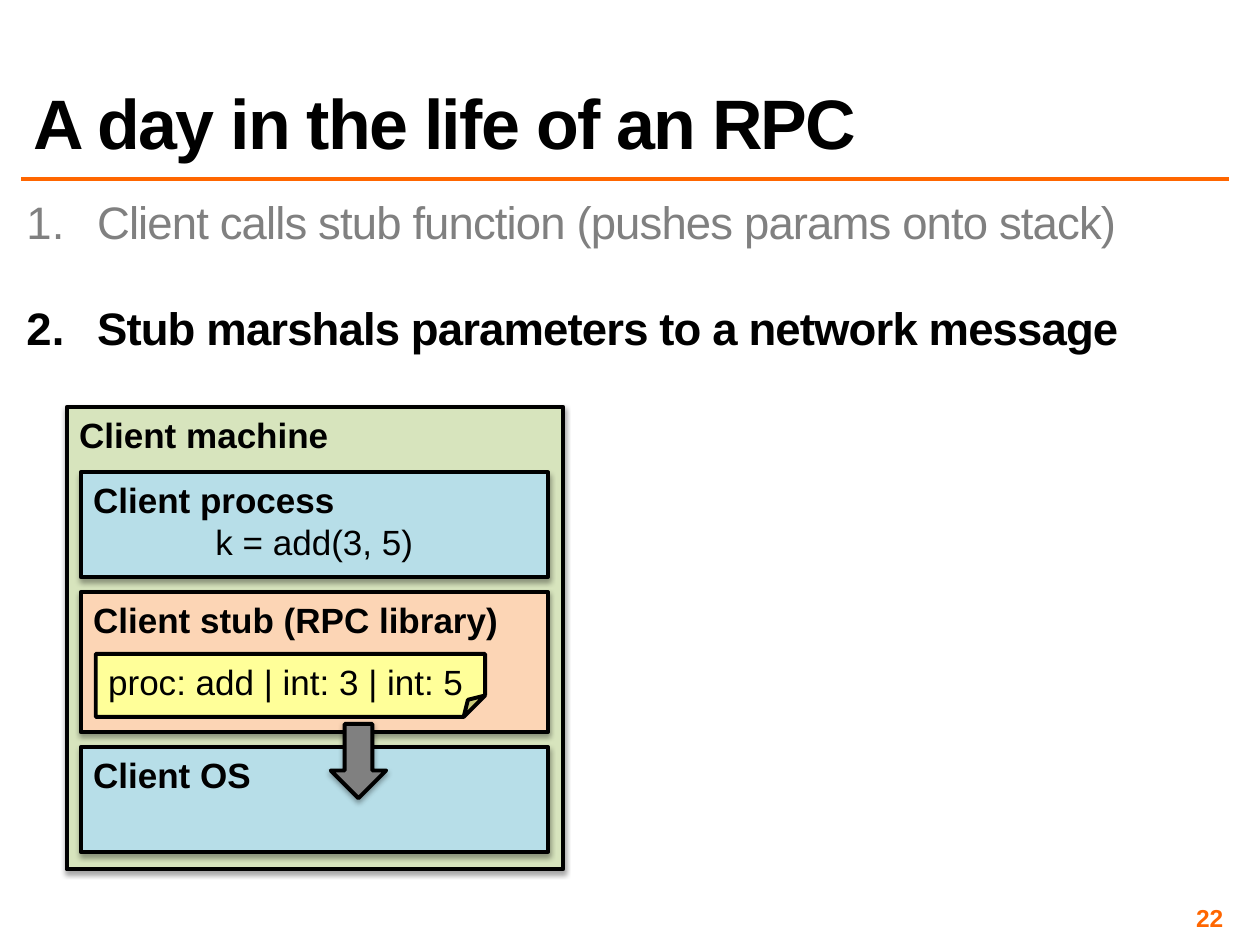
import pptx
import pptx.util
import pptx.dml.color
import pptx.enum.shapes
import pptx.enum.text
import pptx.oxml
import pptx.oxml.ns

Inches = pptx.util.Inches
Pt = pptx.util.Pt
Shape = pptx.enum.shapes.MSO_SHAPE
Align = pptx.enum.text.PP_ALIGN
Anchor = pptx.enum.text.MSO_ANCHOR

HUES = {
    "ink": "000000", "gray": "808080", "orange": "FF6600", "green": "D7E4BD",
    "blue": "B7DEE8", "peach": "FCD5B5", "note": "FFFF99",
}
NS = pptx.oxml.ns.nsdecls("a")
GLOW = (
    f'<a:effectLst {NS}><a:outerShdw blurRad="{Pt(3.1)}" dist="{Pt(1.8)}" '
    'dir="5400000" rotWithShape="0"><a:srgbClr val="000000">'
    '<a:alpha val="35000"/></a:srgbClr></a:outerShdw></a:effectLst>'
)
FLAT = f"<a:effectLst {NS}/>"
NUMBER = f'<a:buAutoNum {NS} type="arabicPeriod"/>'
FOLD = f'<a:avLst {NS}><a:gd name="adj" fmla="val 34000"/></a:avLst>'


def tint(name):
    return pptx.dml.color.RGBColor.from_string(HUES[name])


def assign(target, values):
    for key, value in values.items():
        setattr(target, key, value)


def effect(shape, xml):
    shape._element.spPr.append(pptx.oxml.parse_xml(xml))


def fold(shape):
    outline = shape._element.spPr.find(pptx.oxml.ns.qn("a:prstGeom"))
    for child in list(outline):
        outline.remove(child)
    outline.append(pptx.oxml.parse_xml(FOLD))


def frame(shape, inset=None, anchor=Anchor.TOP):
    body = shape.text_frame
    assign(body, {"word_wrap": True, "vertical_anchor": anchor})
    if inset is not None:
        sides = ("left", "top", "right", "bottom")
        assign(body, {f"margin_{side}": Inches(inset) for side in sides})
    return body


def write(para, text, size, hue="ink", bold=True, track=0, **form):
    assign(para, {"alignment": Align.LEFT, **form})
    run = para.add_run()
    run.text = text
    assign(run.font, {"name": "Arial", "size": Pt(size), "bold": bold})
    run.font.color.rgb = tint(hue)
    if track:
        run._r.get_or_add_rPr().set("spc", str(track))


def textbox(slide, box, **form):
    return frame(slide.shapes.add_textbox(*map(Inches, box)), **form)


def block(slide, kind, box, fill, xml=GLOW):
    shape = slide.shapes.add_shape(kind, *map(Inches, box))
    shape.fill.solid()
    shape.fill.fore_color.rgb = tint(fill)
    shape.line.color.rgb = tint("ink")
    shape.line.width = Pt(2.25)
    effect(shape, xml)
    return shape


def panel(slide, box, fill, title):
    body = frame(block(slide, Shape.RECTANGLE, box, fill))
    write(body.paragraphs[0], title, 20)
    return body


def header(slide, box):
    left, top, width, height = box
    body = textbox(slide, box, anchor=Anchor.BOTTOM)
    write(body.paragraphs[0], "A day in the life of an RPC", 40, track=-100, line_spacing=0.8)
    level = Inches(top + height + 0.08)
    rule = slide.shapes.add_connector(
        pptx.enum.shapes.MSO_CONNECTOR.STRAIGHT,
        Inches(left), level, Inches(left + width), level)
    rule.line.color.rgb = tint("orange")
    rule.line.width = Pt(2)
    effect(rule, FLAT)


def steps(slide, box):
    body = textbox(slide, box, inset=0.04)
    items = [
        ("Client calls stub function (pushes params onto stack)", "gray", False, 5.2),
        ("Stub marshals parameters to a network message", "ink", True, 36),
    ]
    for index, (text, hue, bold, space) in enumerate(items):
        para = body.add_paragraph() if index else body.paragraphs[0]
        write(para, text, 26, hue, bold, -50, line_spacing=0.8, space_before=Pt(space))
        props = para._p.get_or_add_pPr()
        props.set("marL", str(Inches(0.56)))
        props.set("indent", str(Inches(-0.56)))
        props.append(pptx.oxml.parse_xml(NUMBER))


def machine(slide, box):
    left, top, width, height = box
    panel(slide, box, "green", "Client machine")
    gap = 0.12
    layers = [
        ("Client process", "blue", 0.83),
        ("Client stub (RPC library)", "peach", 1.11),
        ("Client OS", "blue", 0.83),
    ]
    level = top + 0.52
    bodies = []
    for title, fill, tall in layers:
        place = (left + 0.11, level, width - 0.23, tall)
        bodies.append(panel(slide, place, fill, title))
        level += tall + gap
    write(bodies[0].add_paragraph(), "k = add(3, 5)", 20, bold=False, alignment=Align.CENTER)
    note = block(slide, Shape.FOLDED_CORNER, (left + 0.23, top + 1.96, 3.09, 0.5), "note", FLAT)
    fold(note)
    write(frame(note).paragraphs[0], "proc: add | int: 3 | int: 5", 20, bold=False)
    arrow = block(slide, Shape.RIGHT_ARROW, (left + 2.02, top + 2.59, 0.59, 0.44), "gray")
    arrow.rotation = 90


def footer(slide, box):
    body = textbox(slide, box, inset=0.04, anchor=Anchor.MIDDLE)
    write(body.paragraphs[0], "22", 14, "orange", alignment=Align.RIGHT)


def main():
    deck = pptx.Presentation()
    assign(deck, {"slide_width": Inches(10), "slide_height": Inches(7.5)})
    slide = deck.slides.add_slide(deck.slide_layouts[6])
    header(slide, (0.17, 0.17, 9.58, 1.17))
    steps(slide, (0.17, 1.58, 9.58, 1.4))
    machine(slide, (0.53, 3.23, 3.94, 3.67))
    footer(slide, (7.42, 7.17, 2.33, 0.23))
    deck.save("out.pptx")


if __name__ == "__main__":
    main()
